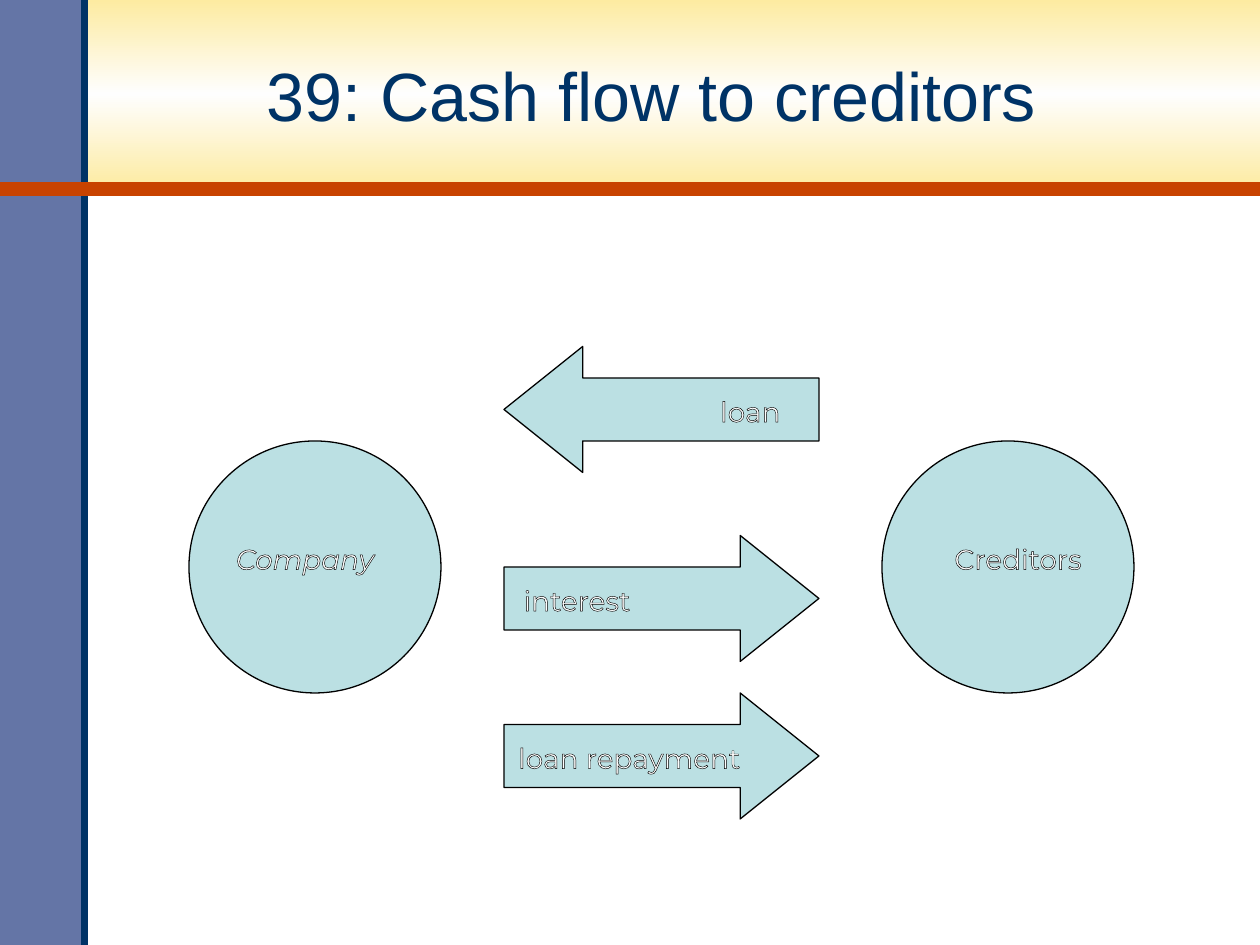
from copy import deepcopy

from pptx import Presentation
from pptx.dml.color import RGBColor
from pptx.enum.shapes import MSO_CONNECTOR, MSO_SHAPE
from pptx.enum.text import MSO_ANCHOR, MSO_AUTO_SIZE, PP_ALIGN
from pptx.oxml import parse_xml
from pptx.oxml.ns import nsdecls
from pptx.util import Inches, Pt

NAVY = RGBColor(0x00, 0x33, 0x66)
SLATE = RGBColor(0x64, 0x75, 0xA6)
RUST = RGBColor(0xC8, 0x43, 0x00)
CREAM = RGBColor(0xFD, 0xEB, 0xA1)
PALE = RGBColor(0xFE, 0xFE, 0xFE)
AQUA = RGBColor(0xBB, 0xE0, 0xE3)
BLACK = RGBColor(0, 0, 0)
WHITE = RGBColor(0xFF, 0xFF, 0xFF)


def add_block(slide, kind, left, top, width, height, fill=None, line=None):
    sp = slide.shapes.add_shape(
        kind, Inches(left), Inches(top), Inches(width), Inches(height))
    sp.shadow.inherit = False
    if fill is not None:
        sp.fill.solid()
        sp.fill.fore_color.rgb = fill
    if line is None:
        sp.line.fill.background()
    else:
        sp.line.color.rgb = line
        sp.line.width = Pt(0.75)
    return sp


def add_rule(slide, x1, y1, x2, y2, color, width):
    rule = slide.shapes.add_connector(
        MSO_CONNECTOR.STRAIGHT, Inches(x1), Inches(y1), Inches(x2), Inches(y2))
    rule.line.color.rgb = color
    rule.line.width = Pt(width)
    rule._element.spPr.append(parse_xml(f"<a:effectLst {nsdecls('a')}/>"))


def add_header_band(slide):
    """Add the top band, which fades from cream to near white and back."""
    fill = add_block(slide, MSO_SHAPE.RECTANGLE, 0, 0, 10, 1.5).fill
    fill.gradient()
    fill.gradient_angle = 90
    stop_list = fill._xPr.gradFill.gsLst
    stop_list.append(deepcopy(stop_list[-1]))
    for stop, pos, color in zip(
            fill.gradient_stops, (0, 0.5, 1), (CREAM, PALE, CREAM)):
        stop.position = pos
        stop.color.rgb = color


def add_title(slide, text):
    title = slide.shapes.title
    title.left, title.top = Inches(0.65), Inches(0.15)
    title.width, title.height = Inches(9.04), Inches(1.2)
    tf = title.text_frame
    tf.text = text
    tf.auto_size = MSO_AUTO_SIZE.NONE
    tf.vertical_anchor = MSO_ANCHOR.MIDDLE
    p = tf.paragraphs[0]
    p.alignment = PP_ALIGN.CENTER
    font = p.runs[0].font
    font.name, font.size = "Arial", Pt(39)
    font.color.rgb = NAVY
    # Bring the title in front of the background shapes
    slide.shapes._spTree.append(title._element)


def add_label(slide, text, left, top, width, height, italic=None):
    """Add a one-line label, centred, in white letters outlined in black."""
    box = slide.shapes.add_textbox(
        Inches(left), Inches(top), Inches(width), Inches(height))
    tf = box.text_frame
    tf.word_wrap = False
    # The full box width is needed to keep the label on one line
    tf.margin_left = tf.margin_right = 0
    tf.text = text
    p = tf.paragraphs[0]
    p.alignment = PP_ALIGN.CENTER
    r = p.runs[0]
    r.font.name, r.font.size = "Montserrat", Pt(16)
    r.font.italic = italic
    r.font.color.rgb = WHITE
    r.font._element.insert(0, parse_xml(
        f"<a:ln {nsdecls('a')} w=\"{Pt(0.75)}\"><a:solidFill>"
        f"<a:srgbClr val=\"{BLACK}\"/></a:solidFill></a:ln>"))


def add_party(slide, left, text, label_left, italic=None):
    add_block(slide, MSO_SHAPE.OVAL, left, 3.5, 2, 2, AQUA, BLACK)
    add_label(slide, text, label_left, 4.25, 1.5, 0.5, italic)


def add_flow(slide, kind, top, text, label_left, label_width):
    arrow = add_block(slide, kind, 4, top, 2.5, 1, AQUA, BLACK)
    arrow.adjustments[1] = 0.625
    add_label(slide, text, label_left, top + 0.33, label_width, 0.33)


def main():
    prs = Presentation()
    prs.slide_width, prs.slide_height = Inches(10), Inches(7.5)
    slide = prs.slides.add_slide(prs.slide_layouts[5])

    add_header_band(slide)
    add_block(slide, MSO_SHAPE.RECTANGLE, 0, 0, 0.67, 7.5, SLATE)
    add_rule(slide, 0.67, 7.5, 0.67, 0, NAVY, 4)
    add_rule(slide, 0, 1.5, 10, 1.5, RUST, 8)
    add_title(slide, "39: Cash flow to creditors")

    add_party(slide, 1.5, "Company", 1.67, italic=True)
    add_party(slide, 7, "Creditors", 7.33)
    add_flow(slide, MSO_SHAPE.LEFT_ARROW, 2.75, "loan", 5.58, 0.75)
    add_flow(slide, MSO_SHAPE.RIGHT_ARROW, 4.25, "interest", 4.08, 1)
    add_flow(slide, MSO_SHAPE.RIGHT_ARROW, 5.5, "loan repayment", 4.08, 1.83)

    prs.save("out.pptx")


if __name__ == "__main__":
    main()
